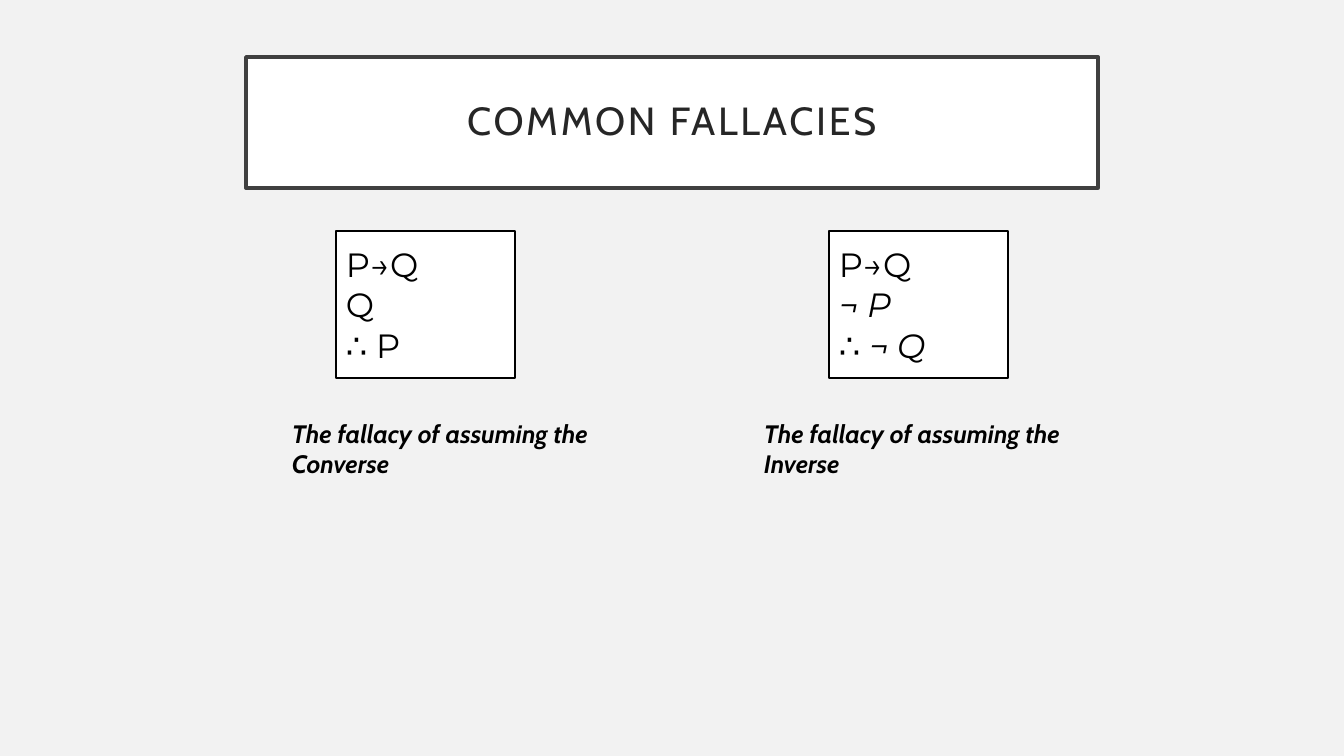
from pptx import Presentation
from pptx.dml.color import RGBColor
from pptx.enum.shapes import MSO_SHAPE
from pptx.enum.text import MSO_ANCHOR, PP_ALIGN
from pptx.util import Pt

RECTANGLE = MSO_SHAPE.RECTANGLE
MIDDLE, TOP = MSO_ANCHOR.MIDDLE, MSO_ANCHOR.TOP
CENTER, LEFT = PP_ALIGN.CENTER, PP_ALIGN.LEFT
PX = 914400 / 100.8

THEME = {
    "background": RGBColor(0xF2, 0xF2, 0xF2),
    "panel": RGBColor(0xFF, 0xFF, 0xFF),
    "frame": RGBColor(0x40, 0x40, 0x40),
    "ink": RGBColor(0, 0, 0),
    "title": {"name": "Cabin", "size": Pt(28)},
    "title_color": RGBColor(0x26, 0x26, 0x26),
    "formula": {"name": "Montserrat", "size": Pt(24)},
    "caption": {"name": "Cabin", "size": Pt(18), "bold": True, "italic": True},
}


def add_panel(page, bounds, line_color, line_width):
    panel = page.shapes.add_shape(RECTANGLE, *[round(n * PX) for n in bounds])
    panel.shadow.inherit = False
    panel.fill.solid()
    panel.fill.fore_color.rgb = THEME["panel"]
    panel.line.color.rgb = line_color
    panel.line.width = Pt(line_width)
    return panel


def write(box, lines, style, color, align=LEFT, anchor=TOP):
    """Write lines of (text, format changes) spans into the box."""
    frame = box.text_frame
    frame.word_wrap = True
    frame.vertical_anchor = anchor
    for index, spans in enumerate(lines):
        para = frame.paragraphs[0] if index == 0 else frame.add_paragraph()
        para.alignment = align
        for text, changes in spans:
            span = para.add_run()
            span.text = text
            span.font.color.rgb = color
            for name, value in {**style, **changes}.items():
                setattr(span.font, name, value)


deck = Presentation()
deck.slide_width, deck.slide_height = round(1344 * PX), round(756 * PX)
page = deck.slides.add_slide(deck.slide_layouts[6])
page.background.fill.solid()
page.background.fill.fore_color.rgb = THEME["background"]

title = add_panel(page, (246, 57, 852, 131), THEME["frame"], 2.5)
for side in ("left", "top", "right", "bottom"):
    setattr(title.text_frame, f"margin_{side}", round(20 * PX))
write(title, [[("COMMON FALLACIES", {})]], THEME["title"],
      THEME["title_color"], CENTER, MIDDLE)
title_para = title.text_frame.paragraphs[0]
title_para.line_spacing = 0.9
title_para.runs[0].font._element.set("spc", "200")

SLANTED = {"italic": True}
fallacies = [
    (336, 282, "Converse",
     [[("P→Q", {})], [("Q", {})], [("∴ P", {})]]),
    (829, 754, "Inverse",
     [[("P→Q", {})], [("¬ P", SLANTED)], [("∴ ", {}), ("¬ Q", SLANTED)]]),
]
for panel_left, caption_left, name, argument in fallacies:
    panel = add_panel(page, (panel_left, 231, 179, 147), THEME["ink"], 1)
    write(panel, argument, THEME["formula"], THEME["ink"], anchor=MIDDLE)
    caption = page.shapes.add_textbox(
        *[round(n * PX) for n in (caption_left, 413, 331, 72)])
    write(caption, [[(f"The fallacy of assuming the {name}", {})]],
          THEME["caption"], THEME["ink"])

deck.save("out.pptx")
